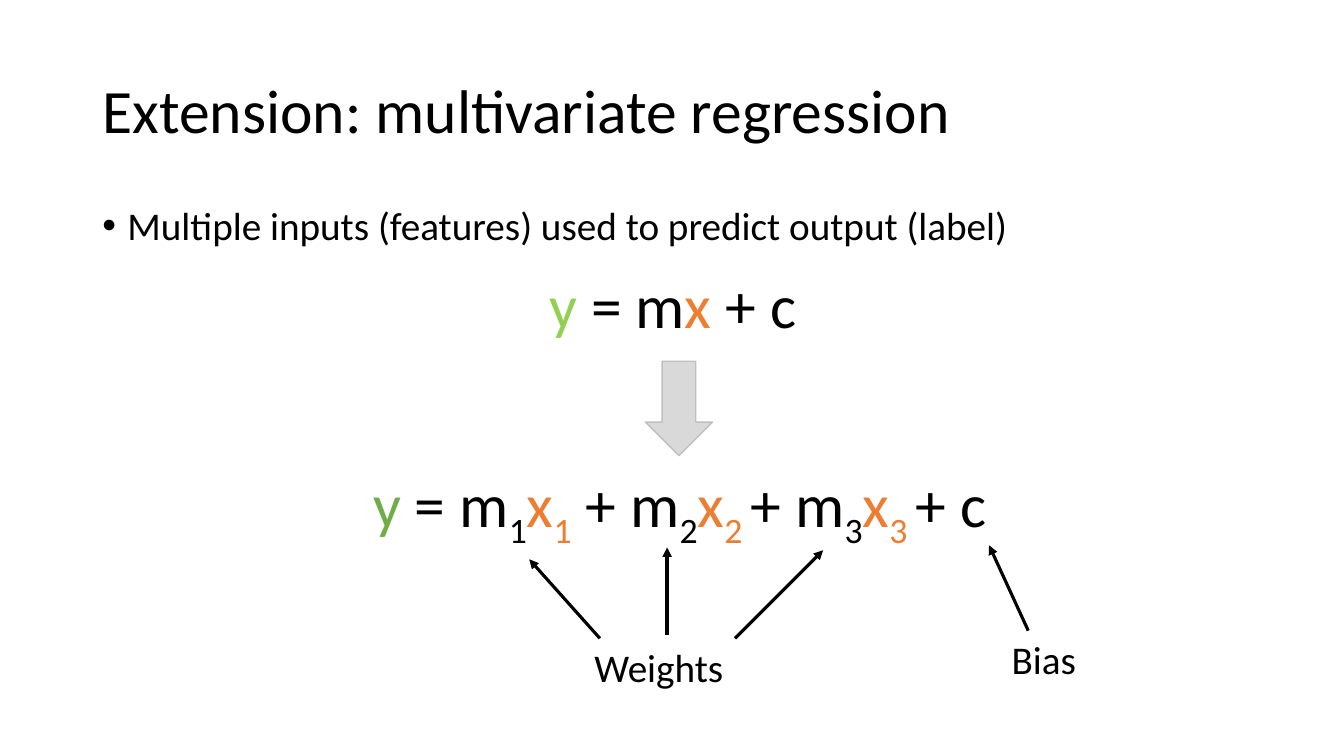
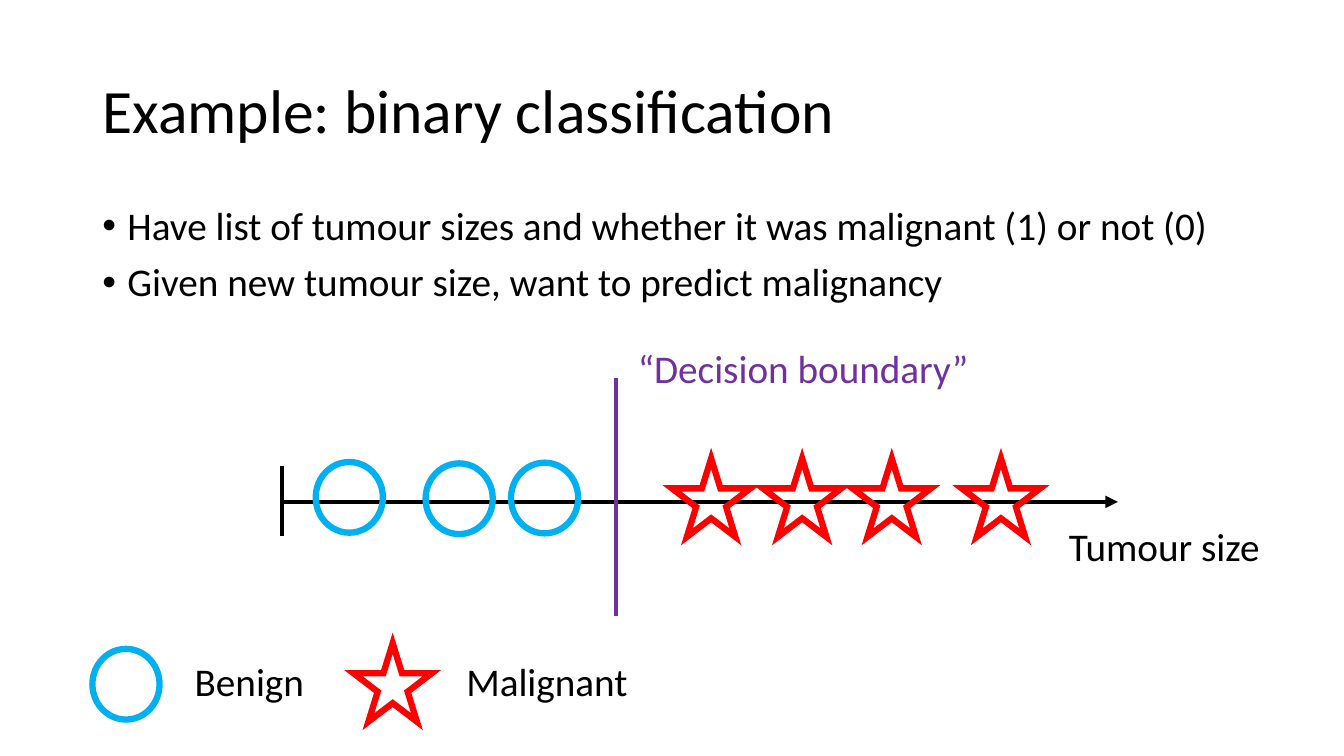
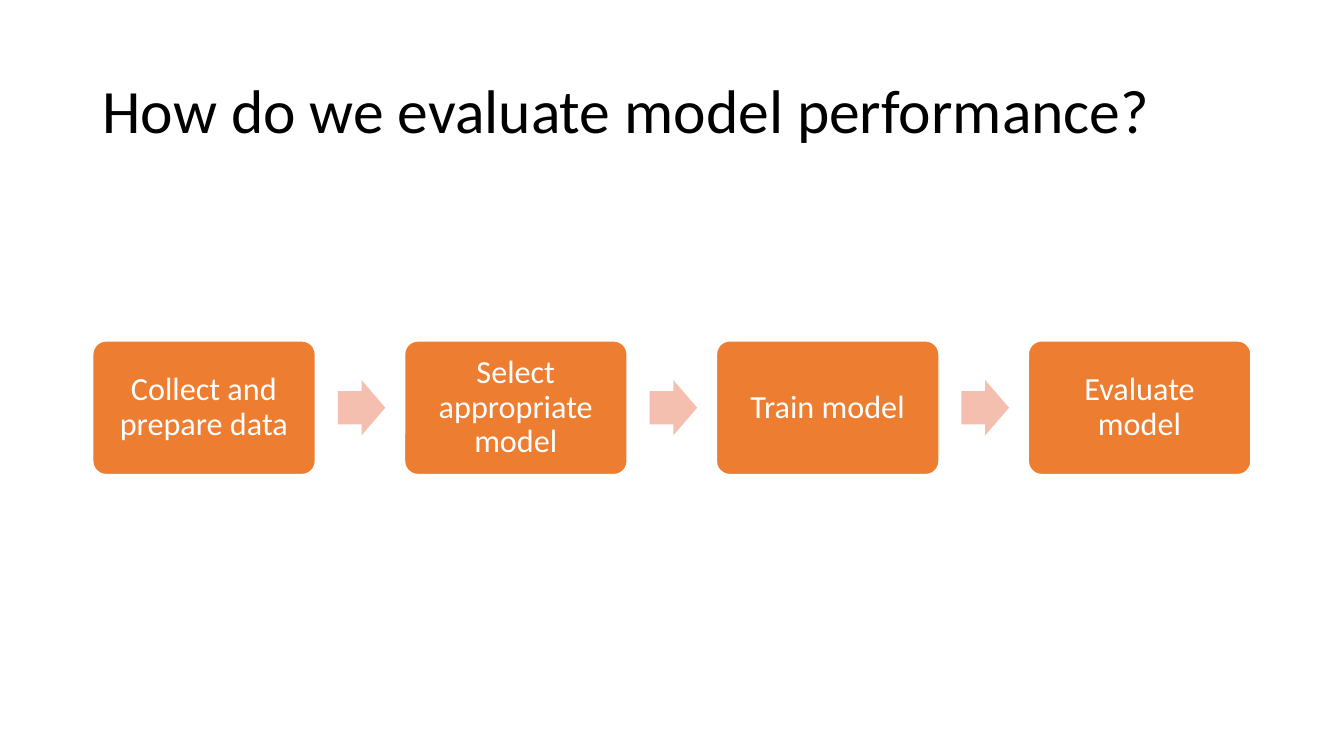
"""Build three machine learning slides: regression, classification and evaluation."""
from lxml.etree import SubElement
from pptx import Presentation
from pptx.dml.color import RGBColor
from pptx.enum.shapes import MSO_CONNECTOR, MSO_SHAPE as SHAPE
from pptx.enum.text import MSO_ANCHOR as ANCHOR, MSO_AUTO_SIZE as FIT, PP_ALIGN as ALIGN
from pptx.oxml.ns import qn
from pptx.util import Pt

FONT = "Calibri"
COLOURS = {
    "black": "000000", "white": "FFFFFF", "lime": "92D050", "green": "70AD47",
    "orange": "ED7D31", "peach": "F4BFAE", "silver": "D9D9D9", "grey": "BFBFBF",
    "blue": "00B0F0", "red": "FF0000", "purple": "7030A0",
}
RGB = {name: RGBColor.from_string(value) for name, value in COLOURS.items()}


def write(frame, *paragraphs, size=28, colour="black", align=ALIGN.LEFT, anchor=ANCHOR.TOP,
          spacing=None, before=None, bullet=False, wrap=True):
    frame.word_wrap = wrap
    frame.auto_size = FIT.NONE if wrap else FIT.SHAPE_TO_FIT_TEXT
    frame.vertical_anchor = anchor
    for index, content in enumerate(paragraphs):
        paragraph = frame.add_paragraph() if index else frame.paragraphs[0]
        paragraph.alignment = align
        paragraph.line_spacing = spacing
        paragraph.space_before = before
        if bullet:
            properties = paragraph._p.get_or_add_pPr()
            properties.set("marL", str(Pt(18)))
            properties.set("indent", str(Pt(-18)))
            SubElement(properties, qn("a:buFont"), typeface="Arial")
            SubElement(properties, qn("a:buChar"), char="•")
        pieces = [(content, colour, False)] if isinstance(content, str) else content
        for text, tint, subscript in pieces:
            run = paragraph.add_run()
            run.text = text
            run.font.name = FONT
            run.font.size = Pt(size)
            run.font.color.rgb = RGB[tint]
            if subscript:
                run.font._element.set("baseline", "-25000")


def draw_line(slide, start, end, colour="black", width=3, arrow=False):
    line = slide.shapes.add_connector(MSO_CONNECTOR.STRAIGHT, *map(Pt, start + end))
    line.line.color.rgb = RGB[colour]
    line.line.width = Pt(width)
    if arrow:
        SubElement(line.line._get_or_add_ln(), qn("a:tailEnd"), type="triangle")
    SubElement(line._element.spPr, qn("a:effectLst"))


deck = Presentation()
deck.slide_width, deck.slide_height = Pt(960), Pt(540)

slides = []
for heading in (
    "Extension: multivariate regression",
    "Example: binary classification",
    "How do we evaluate model performance?",
):
    slide = deck.slides.add_slide(deck.slide_layouts[5])
    title = slide.shapes.title
    title.left, title.top, title.width, title.height = map(Pt, (66, 29, 828, 104))
    write(title.text_frame, heading, size=44, anchor=ANCHOR.MIDDLE, spacing=0.9)
    slides.append(slide)
regression, classification, evaluation = slides

for slide, points in (
    (regression, ["Multiple inputs (features) used to predict output (label)"]),
    (classification, ["Have list of tumour sizes and whether it was malignant (1) or not (0)",
                      "Given new tumour size, want to predict malignancy"]),
):
    body = slide.shapes.add_textbox(*map(Pt, (66, 144, 828, 343)))
    write(body.text_frame, *points, spacing=0.9, before=Pt(10), bullet=True)

simple_equation = [("y", "lime", False), (" = m", "black", False),
                   ("x", "orange", False), (" + c", "black", False)]
full_equation = [("y", "green", False)]
for lead, index in ((" = m", "1"), (" + m", "2"), ("+ m", "3")):
    after = "" if index == "1" else " "
    full_equation += [(lead, "black", False), (index, "black", True),
                      ("x", "orange", False), (index + after, "orange", True)]
full_equation.append(("+ c", "black", False))

for equation, place in (
    (simple_equation, (356.5, 179.5, 248, 75)),
    (full_equation, (227, 325.5, 517, 75)),
):
    formula = regression.shapes.add_textbox(*map(Pt, place))
    write(formula.text_frame, equation, size=44, align=ALIGN.CENTER, anchor=ANCHOR.MIDDLE)

extension = regression.shapes.add_shape(SHAPE.DOWN_ARROW, *map(Pt, (461, 258, 48, 67.5)))
extension.shadow.inherit = False
extension.fill.solid()
extension.fill.fore_color.rgb = RGB["silver"]
extension.line.color.rgb = RGB["grey"]
extension.line.width = Pt(1)

for start, end in (
    ((428.5, 456), (378, 399.5)),
    ((476.5, 453.5), (476.5, 391)),
    ((525, 456), (588, 393)),
    ((734.5, 450.5), (706.5, 389.5)),
):
    draw_line(regression, start, end, width=2.25, arrow=True)

axis_left, axis_y, boundary_x = 201.5, 358.5, 440
draw_line(classification, (axis_left, axis_y), (798.5, axis_y), arrow=True)
draw_line(classification, (axis_left, 333), (axis_left, 383))

for outline, colour, width, height, corners in (
    (SHAPE.OVAL, "blue", 48, 50.5,
     [(225.5, 330), (304, 331), (365, 330.5), (66, 463.5)]),
    (SHAPE.STAR_5_POINT, "red", 56, 56,
     [(480, 327.5), (545, 327.5), (609, 327.5), (687, 327.5), (252.5, 459.5)]),
):
    for left, top in corners:
        tumour = classification.shapes.add_shape(outline, *map(Pt, (left, top, width, height)))
        tumour.shadow.inherit = False
        tumour.fill.background()
        tumour.line.color.rgb = RGB[colour]
        tumour.line.width = Pt(4.5)
        SubElement(tumour.line._get_or_add_ln(), qn("a:miter"), lim="800000")

draw_line(classification, (boundary_x, 270), (boundary_x, 440), colour="purple")

for slide, caption, left, top, width, colour in (
    (regression, "Weights", 417.5, 456, 107, "black"),
    (regression, "Bias", 715.5, 450.5, 61, "black"),
    (classification, "Benign", 132, 466, 93.5, "black"),
    (classification, "Malignant", 326, 466, 131, "black"),
    (classification, "Tumour size", 756.5, 369.5, 152, "black"),
    (classification, "“Decision boundary”", 448.5, 242.5, 252, "purple"),
):
    label = slide.shapes.add_textbox(*map(Pt, (left, top, width, 41)))
    write(label.text_frame, caption, colour=colour, wrap=False)

steps = ["Collect and prepare data", "Select appropriate model", "Train model", "Evaluate model"]
step_pitch = 222.75
for index, name in enumerate(steps):
    left = 66.25 + index * step_pitch
    step = evaluation.shapes.add_shape(SHAPE.ROUNDED_RECTANGLE, *map(Pt, (left, 243.5, 159, 95.5)))
    step.adjustments[0] = 0.1
    step.shadow.inherit = False
    step.fill.solid()
    step.fill.fore_color.rgb = RGB["orange"]
    step.line.color.rgb = RGB["white"]
    step.line.width = Pt(1)
    frame = step.text_frame
    frame.margin_left = frame.margin_right = frame.margin_top = frame.margin_bottom = Pt(7)
    write(frame, name, size=23, colour="white", align=ALIGN.CENTER, anchor=ANCHOR.MIDDLE, spacing=0.9)
    if index < len(steps) - 1:
        onward = evaluation.shapes.add_shape(SHAPE.RIGHT_ARROW, *map(Pt, (left + 175, 271.5, 34, 39.5)))
        onward.adjustments[0] = 0.6
        onward.adjustments[1] = 0.5
        onward.shadow.inherit = False
        onward.fill.solid()
        onward.fill.fore_color.rgb = RGB["peach"]
        onward.line.fill.background()

deck.save("out.pptx")
